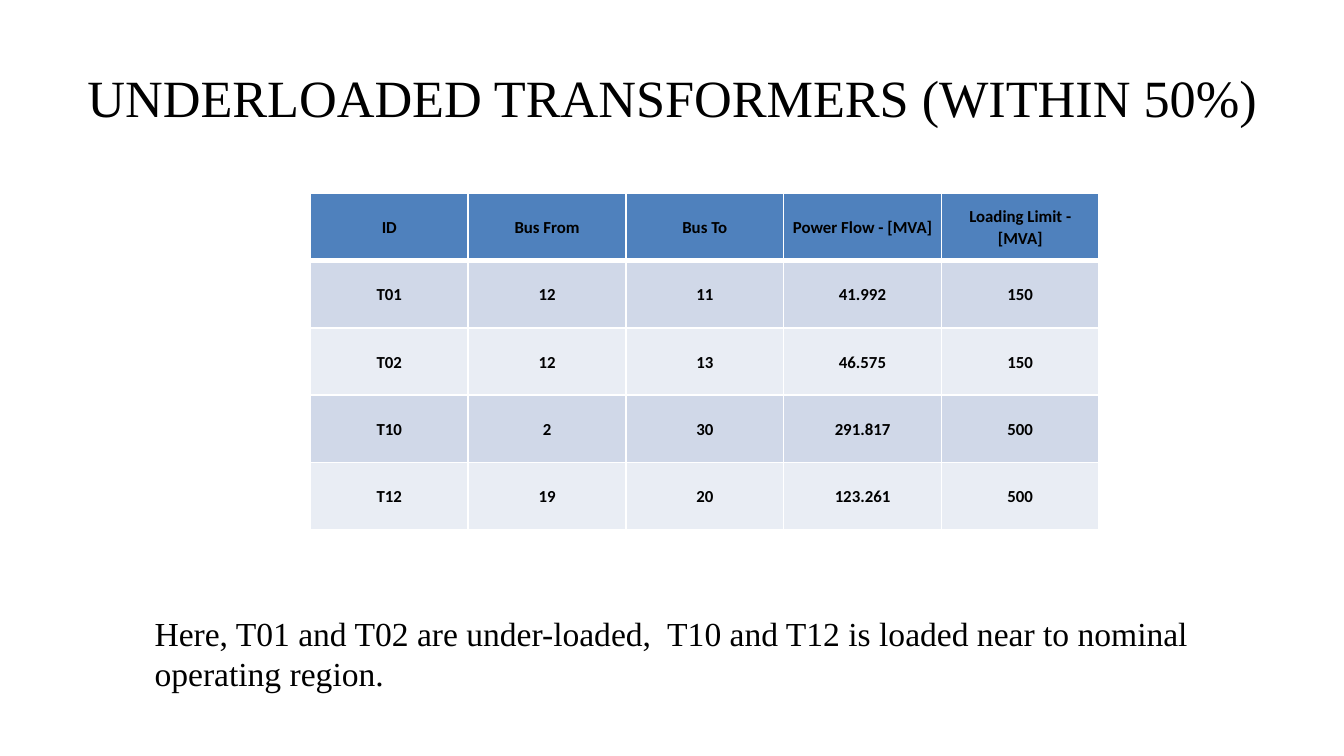
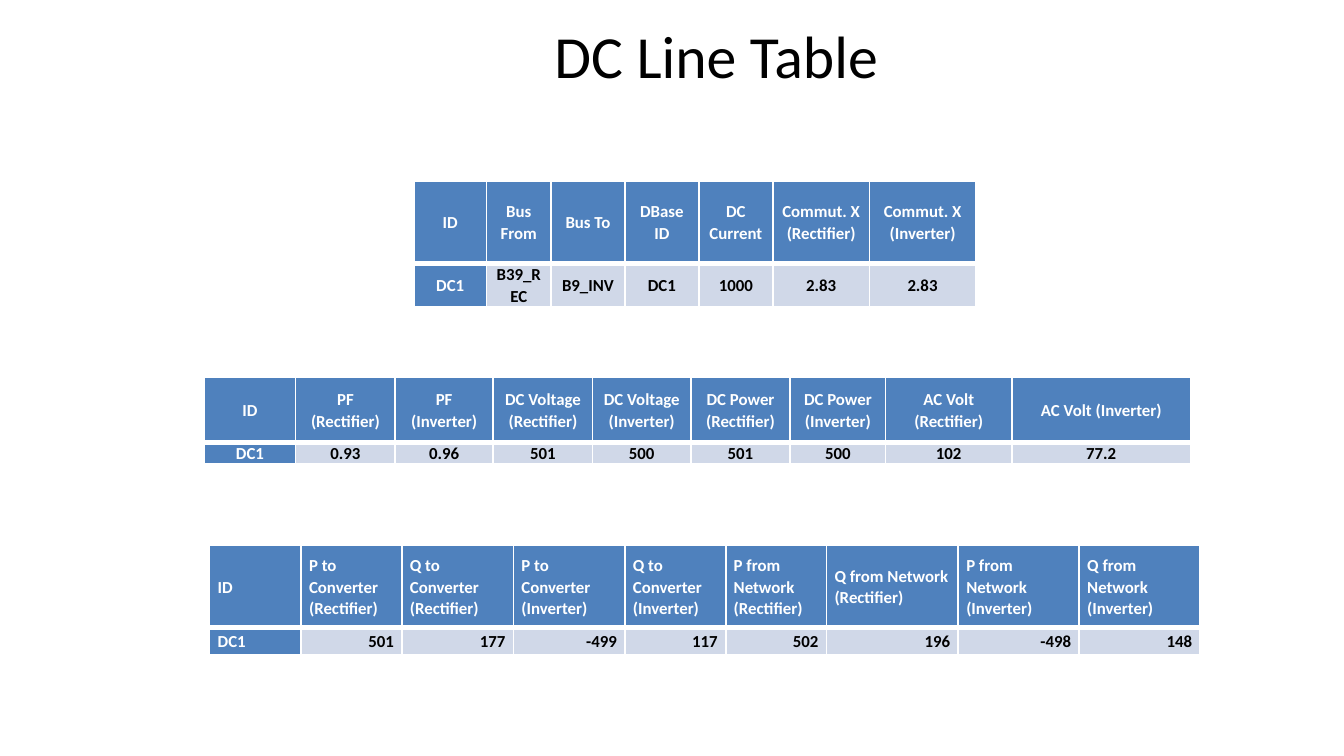
"""Build two slides of load-flow result tables."""
from dataclasses import dataclass
from lxml import etree
from pptx import Presentation, util as u
from pptx.dml.color import RGBColor
from pptx.enum import text as t
from pptx.oxml import ns


@dataclass(frozen=True)
class Theme:
    ink: str = "000000"
    white: str = "FFFFFF"
    head: str = "4F81BD"
    bands: tuple = ("D0D8E8", "E9EDF4")
    sans: str = "Calibri"
    serif: str = "Times New Roman"
    cell: int = 9
    note: int = 18
    thin: int = 1
    thick: int = 3


T = Theme()
LEFT, MID, RIGHT = t.PP_ALIGN.LEFT, t.PP_ALIGN.CENTER, t.PP_ALIGN.RIGHT

SLIDES = [
    {
        "title": ("UNDERLOADED TRANSFORMERS (WITHIN 50%)", (0, 0, 10, 1.44), 28, T.serif),
        "tables": [
            {
                "at": (2.31, 1.44), "cols": [5.87 / 5] * 5, "rows": [0.5] * 5,
                "ink": T.ink, "lead": False, "aligns": (MID, MID),
                "data": [
                    ["ID", "Bus From", "Bus To", "Power Flow - [MVA]", "Loading Limit - [MVA]"],
                    ["T01", "12", "11", "41.992", "150"],
                    ["T02", "12", "13", "46.575", "150"],
                    ["T10", "2", "30", "291.817", "500"],
                    ["T12", "19", "20", "123.261", "500"],
                ],
            },
        ],
        "note": ("Here, T01 and T02 are under-loaded,  T10 and T12 is loaded near to "
                 "nominal operating region.", (1.08, 4.52, 8.61, 0.68)),
    },
    {
        "title": ("DC Line Table", (1.22, 0, 8.22, 0.82), 32, T.sans),
        "tables": [
            {
                "at": (3.08, 1.35), "cols": [0.54, 0.48, 0.55, 0.55, 0.55, 0.72, 0.79],
                "rows": [0.61, 0.32],
                "ink": T.white, "lead": True, "aligns": (MID, MID),
                "data": [
                    ["ID", "Bus From", "Bus To", "DBase ID", "DC Current",
                     "Commut. X (Rectifier)", "Commut. X (Inverter)"],
                    ["DC1", "B39_REC", "B9_INV", "DC1", "1000", "2.83", "2.83"],
                ],
            },
            {
                "at": (1.52, 2.81),
                "cols": [0.68, 0.74, 0.73, 0.74, 0.73, 0.74, 0.71, 0.94, 1.33],
                "rows": [0.48, 0.16],
                "ink": T.white, "lead": True, "aligns": (MID, MID),
                "data": [
                    ["ID", "PF (Rectifier)", "PF (Inverter)", "DC Voltage (Rectifier)",
                     "DC Voltage (Inverter)", "DC Power (Rectifier)", "DC Power (Inverter)",
                     "AC Volt (Rectifier)", "AC Volt (Inverter)"],
                    ["DC1", "0.93", "0.96", "501", "500", "501", "500", "102", "77.2"],
                ],
            },
            {
                "at": (1.56, 4.06),
                "cols": [0.68, 0.75, 0.83, 0.83, 0.75, 0.75, 0.98, 0.9, 0.9],
                "rows": [0.61, 0.2],
                "ink": T.white, "lead": True, "aligns": (LEFT, RIGHT),
                "data": [
                    ["ID", "P to Converter (Rectifier)", "Q to Converter (Rectifier)",
                     "P to Converter (Inverter)", "Q to Converter (Inverter)",
                     "P from Network (Rectifier)", "Q from Network (Rectifier)",
                     "P from Network (Inverter)", "Q from Network (Inverter)"],
                    ["DC1", "501", "177", "-499", "117", "502", "196", "-498", "148"],
                ],
            },
        ],
    },
]


def style(para, size, face, ink, align, bold=False):
    para.alignment = align
    font = para.font
    font.size, font.name, font.bold = u.Pt(size), face, bold
    font.color.rgb = RGBColor.from_string(ink)


def add_text(slide, words, at, size, face, align, anchor):
    frame = slide.shapes.add_textbox(*map(u.Inches, at)).text_frame
    frame.word_wrap = True
    frame.vertical_anchor = anchor
    frame.margin_left = frame.margin_right = u.Inches(0.07)
    frame.margin_top = frame.margin_bottom = u.Inches(0.04)
    para = frame.paragraphs[0]
    para.text = words
    style(para, size, face, T.ink, align)


def add_edges(cell, base):
    props = cell._tc.get_or_add_tcPr()
    for spot, side in enumerate("LRTB"):
        line = etree.Element(ns.qn("a:ln" + side))
        line.set("w", str(u.Pt(base if side == "B" else T.thin)))
        fill = etree.SubElement(line, ns.qn("a:solidFill"))
        etree.SubElement(fill, ns.qn("a:srgbClr")).set("val", T.white)
        props.insert(spot, line)


def fill_cell(cell, words, back, ink, align, base):
    cell.fill.solid()
    cell.fill.fore_color.rgb = RGBColor.from_string(back)
    cell.vertical_anchor = t.MSO_ANCHOR.MIDDLE
    cell.margin_left = cell.margin_right = u.Inches(0.06)
    cell.margin_top = cell.margin_bottom = 0
    add_edges(cell, base)
    para = cell.text_frame.paragraphs[0]
    para.text = words
    para.line_spacing, para.space_after = 1.07, u.Pt(8)
    style(para, T.cell, T.sans, ink, align, True)


def add_grid(slide, item):
    cols, rows, data = item["cols"], item["rows"], item["data"]
    box = map(u.Inches, (*item["at"], sum(cols), sum(rows)))
    grid = slide.shapes.add_table(len(rows), len(cols), *box).table
    grid.first_col = item["lead"]
    for col, width in zip(grid.columns, cols):
        col.width = u.Inches(width)
    for row, height in zip(grid.rows, rows):
        row.height = u.Inches(height)
    for r, line in enumerate(data):
        for c, words in enumerate(line):
            head = r == 0 or (item["lead"] and c == 0)
            back = T.head if head else T.bands[(r - 1) % 2]
            ink = item["ink"] if head else T.ink
            align = item["aligns"][0 if head else 1]
            fill_cell(grid.cell(r, c), words, back, ink, align, T.thin if r else T.thick)


def main():
    deck = Presentation()
    deck.slide_width = u.Inches(10)
    deck.slide_height = u.Inches(10 * 9 / 16)
    for page in SLIDES:
        slide = deck.slides.add_slide(deck.slide_layouts[6])
        add_text(slide, *page["title"], MID, t.MSO_ANCHOR.MIDDLE)
        for item in page["tables"]:
            add_grid(slide, item)
        if "note" in page:
            add_text(slide, *page["note"], T.note, T.serif, LEFT, t.MSO_ANCHOR.TOP)
    deck.save("out.pptx")


if __name__ == "__main__":
    main()
